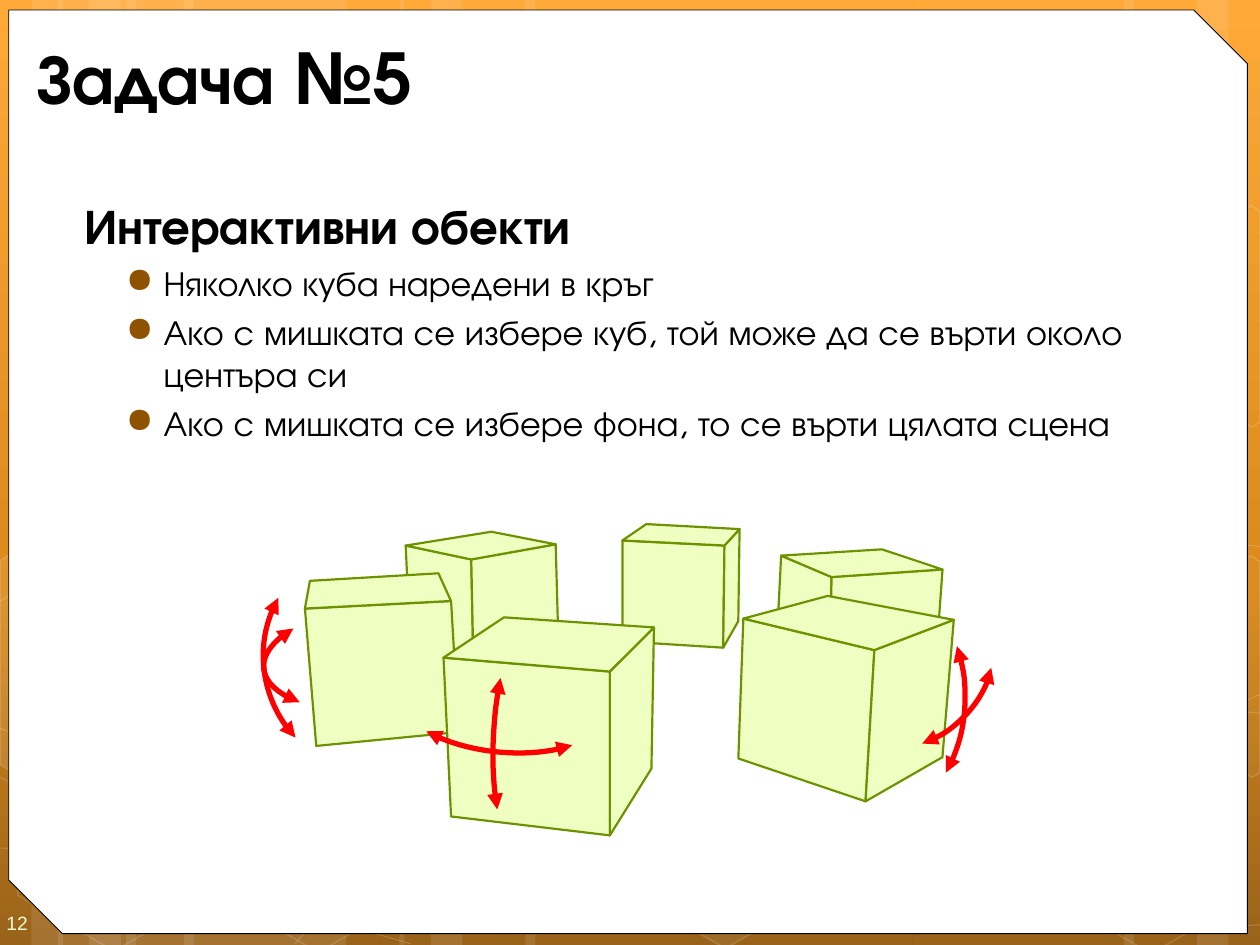
import copy

import lxml.etree
import pptx
import pptx.dml.color
import pptx.enum.shapes
import pptx.enum.text
import pptx.oxml.ns
import pptx.util

THEME = {
    "font": "TeX Gyre Adventor", "number_font": "Arial",
    "title": 40, "heading": 28, "item": 20, "number": 11, "item_gap": 4,
    "text": "000000", "bullet": "8F5201", "number_color": "EEFFD6",
    "paper": "FFFFFF", "frame": "000000", "decor": "FFFFFF",
    "cube": "EFFFC1", "edge": "6D9200", "arrow": "FF0000",
    "background": [(0, "FEA022"), (0.62, "D77C01"), (1, "8F5201")],
}

TITLE = "Задача №5"
HEADING = "Интерактивни обекти"
ITEMS = [
    "Няколко куба наредени в кръг",
    "Ако с мишката се избере куб, той може да се върти около центъра си",
    "Ако с мишката се избере фона, то се върти цялата сцена",
]
NUMBER = "12"

BANDS = [(1, 1.75), (0, 0.5), (0.25, 0.83), (1.46, 1.75), (0.46, 0.5), (0.71, 0.83),
         (7.25, 1.75), (9.5, 0.5), (8.92, 0.83), (4.17, 3.08), (3.17, 0.5), (3.42, 0.83)]

CURVES = [
    [(0, 6.73), (0.53, 6.76), (1.07, 6.79), (1.82, 6.78), (2.57, 6.77), (3.49, 6.75), (4.5, 6.65),
     (5.5, 6.55), (6.92, 6.36), (7.83, 6.17), (8.75, 5.98), (9.69, 5.68), (10, 5.51)],
    [(0, 4.77), (0.28, 4.61), (0.56, 4.46), (1.13, 4.31), (1.7, 4.16), (2.5, 3.94), (3.39, 3.87),
     (4.28, 3.8), (5.36, 3.79), (6.46, 3.87), (7.56, 3.95), (9.39, 4.26), (10, 4.34)],
    [(0, 6.17), (1.18, 6.72), (2.39, 7.27), (3.26, 7.49)],
    [(0, 5.78), (0.3, 5.89), (0.61, 6), (1.2, 6.16), (1.78, 6.31), (2.65, 6.56), (3.48, 6.73),
     (4.32, 6.9), (5.37, 7.08), (6.2, 7.18), (7.02, 7.29), (7.91, 7.33), (8.44, 7.36),
     (8.97, 7.4), (9.11, 7.38), (9.37, 7.38), (9.62, 7.37), (9.81, 7.35), (10, 7.34)],
    [(2.34, 7.49), (2.52, 7.29), (2.69, 7.09), (2.94, 6.91), (3.18, 6.73), (3.51, 6.53), (3.79, 6.39),
     (4.07, 6.25), (4.24, 6.19), (4.61, 6.09), (4.98, 5.99), (5.65, 5.85), (6, 5.78),
     (6.35, 5.71), (6.41, 5.71), (6.72, 5.69), (7.03, 5.66), (7.51, 5.63), (7.86, 5.62),
     (8.2, 5.61), (8.78, 5.62), (9.44, 5.62), (9.63, 5.63), (9.8, 5.64), (10, 5.66)],
]

HEXAGONS = [(4.88, 5.89, 6), (0.03, 5.91, None), (1.65, 5.92, None), (8.26, 5.93, None)]
CUT_HEXAGONS = [
    ([(0, 4.45), (0.11, 4.38), (0.87, 4.82), (0.87, 5.7), (0.12, 6.14), (0, 6.07)], 10),
    ([(9.18, 4.85), (9.93, 4.41), (10, 4.46), (10, 6.13), (9.94, 6.17), (9.17, 5.73)], 4),
    ([(9.18, 2.07), (9.93, 1.63), (10, 1.68), (10, 3.35), (9.94, 3.39), (9.17, 2.95)], None),
]

CORNERS = ("left", "back", "right", "front", "left_foot", "front_foot", "right_foot")
FACES = [("left", "front", "front_foot", "left_foot"),
         ("front", "right", "right_foot", "front_foot"),
         ("left", "back", "right", "front")]
CUBES = [
    [(3.22, 4.33), (3.9, 4.22), (4.41, 4.32), (3.74, 4.44), (3.26, 5.19), (3.76, 5.4), (4.43, 5.05)],
    [(6.2, 4.41), (7, 4.36), (7.48, 4.52), (6.6, 4.58), (6.17, 5), (6.59, 5.02), (7.44, 5.08)],
    [(5.9, 4.91), (6.57, 4.73), (7.57, 4.92), (6.94, 5.16), (5.86, 6.02), (6.87, 6.36), (7.48, 6.01)],
    [(4.94, 4.29), (5.13, 4.16), (5.87, 4.2), (5.75, 4.33), (4.94, 5.09), (5.74, 5.14), (5.86, 4.93)],
    [(2.42, 4.83), (2.46, 4.61), (3.48, 4.55), (3.58, 4.77), (2.51, 5.92), (3.64, 5.81)],
    [(3.52, 5.22), (4, 4.9), (5.19, 4.98), (4.84, 5.33), (3.58, 6.48), (4.84, 6.63), (5.17, 6.1)],
]

ROTATIONS = [
    ((5.83, 4.44, 1.83, 2.18), 0, False, (200.82, 22.95)),
    ((3.92, 4.58, 0.91, 2.42), 4.3, True, (191.34, 36.17)),
    ((2.09, 4.28, 1.81, 1.86), 354.8, True, (194.5, 23.75)),
    ((6.71, 4.99, 1.25, 0.84), 317.3, False, (18.58, 80.69)),
    ((3.53, 4.62, 0.91, 1.79), 276, True, (181.03, 36.17)),
    ((2.09, 4.78, 1.99, 0.87), 354.8, True, (202.85, 13.05)),
]

SHAPE = pptx.enum.shapes.MSO_SHAPE
qn = pptx.oxml.ns.qn


def length(inches):
    return pptx.util.Cm(inches * 2.54)


def rgb(code):
    return pptx.dml.color.RGBColor.from_string(code)


def fade(holder, percent):
    color = holder.find(qn("a:solidFill"))[0]
    lxml.etree.SubElement(color, qn("a:alpha"), val=str(percent * 1000))


def paint(shape, fill=None, line=None, width=1, fill_alpha=None, line_alpha=None):
    shape.shadow.inherit = False
    properties = shape._element.spPr
    if fill:
        shape.fill.solid()
        shape.fill.fore_color.rgb = rgb(fill)
        if fill_alpha:
            fade(properties, fill_alpha)
    else:
        shape.fill.background()
    if line:
        shape.line.color.rgb = rgb(line)
        shape.line.width = pptx.util.Pt(width)
        if line_alpha:
            fade(properties.find(qn("a:ln")), line_alpha)
    else:
        shape.line.fill.background()


def add_preset(slide, preset, box):
    return slide.shapes.add_shape(preset, *map(length, box))


def add_outline(slide, points, close=True):
    start, *rest = [(length(x), length(y)) for x, y in points]
    builder = slide.shapes.build_freeform(*start)
    builder.add_line_segments(rest, close=close)
    return builder.convert_to_shape()


def sample_curve(knots, steps=8):
    points = [knots[0]]
    for i in range(0, len(knots) - 1, 3):
        for t in (step / steps for step in range(1, steps + 1)):
            weights = ((1 - t) ** 3, 3 * t * (1 - t) ** 2, 3 * t * t * (1 - t), t ** 3)
            points.append(tuple(sum(w * knot[axis] for w, knot in zip(weights, knots[i:i + 4]))
                                for axis in (0, 1)))
    return points


def add_frame(slide, box, anchor, insets=(0.1, 0.05, 0.1, 0.05)):
    frame = slide.shapes.add_textbox(*map(length, box)).text_frame
    frame.word_wrap = True
    frame.vertical_anchor = anchor
    frame.margin_left, frame.margin_top, frame.margin_right, frame.margin_bottom = map(length, insets)
    return frame


def write(paragraph, text, size, color, font=THEME["font"], bold=False):
    run = paragraph.add_run()
    run.text = text
    run.font.name, run.font.size, run.font.bold = font, pptx.util.Pt(size), bold
    run.font.color.rgb = rgb(color)


def indent(paragraph, margin, first=0, bullet=None):
    properties = paragraph._p.get_or_add_pPr()
    properties.set("marL", str(length(margin)))
    properties.set("indent", str(length(first)))
    if bullet:
        color = lxml.etree.SubElement(properties, qn("a:buClr"))
        lxml.etree.SubElement(color, qn("a:srgbClr"), val=THEME["bullet"])
        lxml.etree.SubElement(properties, qn("a:buChar"), char=bullet)


def add_backdrop(slide):
    fill = slide.background.fill
    fill.gradient()
    fill.gradient_angle = 270
    first = fill.gradient_stops[0]._gs
    first.addnext(copy.deepcopy(first))
    for stop, (position, color) in zip(fill.gradient_stops, THEME["background"]):
        stop.position, stop.color.rgb = position, rgb(color)
    decor = THEME["decor"]
    for left, width in BANDS:
        paint(add_preset(slide, SHAPE.RECTANGLE, (left, 0, width, 7.5)), decor, fill_alpha=10)
    for knots in CURVES:
        paint(add_outline(slide, sample_curve(knots), close=False), None, decor, 0.5, line_alpha=20)
    for left, top, alpha in HEXAGONS:
        hexagon = add_preset(slide, SHAPE.HEXAGON, (left, top, 1.75, 1.52))
        hexagon.adjustments[0] = 0.285
        hexagon.rotation = 30
        paint(hexagon, alpha and decor, decor, 1, alpha, 12)
    for points, alpha in CUT_HEXAGONS:
        paint(add_outline(slide, points), alpha and decor, decor, 1, alpha, 12)
    paper = add_preset(slide, SHAPE.SNIP_2_DIAG_RECTANGLE, (0.07, 0.08, 9.83, 7.33))
    paper.adjustments[0], paper.adjustments[1] = 0, 0.058
    paint(paper, THEME["paper"], THEME["frame"], 0.5)


def add_texts(slide):
    anchor = pptx.enum.text.MSO_ANCHOR
    number = add_frame(slide, (0, 7.1, 0.58, 0.4), anchor.MIDDLE, (0.05, 0.15, 0, 0.1))
    write(number.paragraphs[0], NUMBER, THEME["number"], THEME["number_color"], THEME["number_font"])
    title = add_frame(slide, (0.19, 0.25, 9.47, 0.71), anchor.MIDDLE)
    write(title.paragraphs[0], TITLE, THEME["title"], THEME["text"], bold=True)
    body = add_frame(slide, (0.5, 1.5, 9.42, 5.92), anchor.TOP)
    indent(body.paragraphs[0], 0.07)
    write(body.paragraphs[0], HEADING, THEME["heading"], THEME["text"], bold=True)
    for item in ITEMS:
        paragraph = body.add_paragraph()
        indent(paragraph, 0.7, -0.3, "●")
        paragraph.space_before = pptx.util.Pt(THEME["item_gap"])
        write(paragraph, item, THEME["item"], THEME["text"])


def add_scene(slide):
    for cube in CUBES:
        corners = dict(zip(CORNERS, cube))
        for face in FACES:
            if all(corner in corners for corner in face):
                outline = add_outline(slide, [corners[corner] for corner in face])
                paint(outline, THEME["cube"], THEME["edge"], 1.25)
    for box, angle, flipped, sweep in ROTATIONS:
        arc = add_preset(slide, SHAPE.ARC, box)
        arc.adjustments[0], arc.adjustments[1] = sweep
        arc.rotation = angle
        if flipped:
            arc._element.spPr.find(qn("a:xfrm")).set("flipH", "1")
        paint(arc, None, THEME["arrow"], 3)
        for end in ("a:headEnd", "a:tailEnd"):
            lxml.etree.SubElement(arc._element.spPr.find(qn("a:ln")), qn(end), type="triangle")


def main():
    """Build the slide about interactive cubes."""
    deck = pptx.Presentation()
    deck.slide_width, deck.slide_height = length(10), length(7.5)
    slide = deck.slides.add_slide(deck.slide_layouts[6])
    add_backdrop(slide)
    add_texts(slide)
    add_scene(slide)
    deck.save("out.pptx")


if __name__ == "__main__":
    main()
